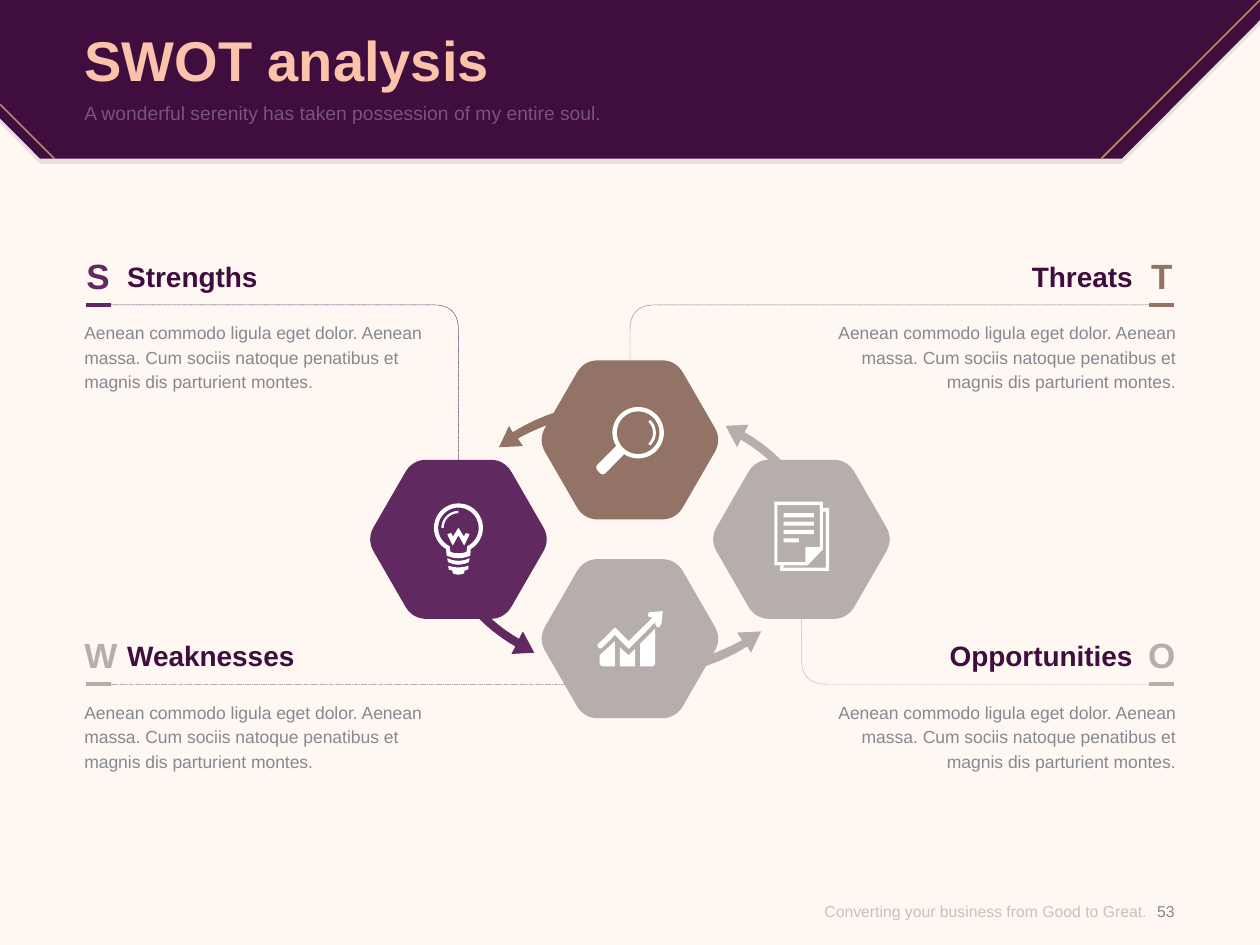
import math

import pptx
import pptx.dml.color
import pptx.enum.dml
import pptx.enum.shapes
import pptx.enum.text
import pptx.oxml
import pptx.oxml.ns
import pptx.util

Pt = pptx.util.Pt
RGB = pptx.dml.color.RGBColor
ALIGN = pptx.enum.text.PP_ALIGN
ANCHOR = pptx.enum.text.MSO_ANCHOR
DOTTED = pptx.enum.dml.MSO_LINE.SQUARE_DOT

CREAM, WHITE = RGB(0xFF, 0xF7, 0xF2), RGB(0xFF, 0xFF, 0xFF)
DEEP, PURPLE = RGB(0x3F, 0x0D, 0x3E), RGB(0x60, 0x2A, 0x60)
BROWN, GREY = RGB(0x92, 0x73, 0x65), RGB(0xB6, 0xAE, 0xAB)
PEACH, GOLD = RGB(0xFB, 0xC4, 0xAA), RGB(0xB9, 0x87, 0x63)
TEXT, FOOT = RGB(0x85, 0x89, 0x8F), RGB(0x8C, 0x8C, 0x8C)

W, H, MARGIN = 720, 540, 48.2
CENTER = (360, 308.2)
HEX_R, HEX_CUT = 52.5, 8.3
HEX_H = HEX_R * math.sqrt(3) / 2
BEND = 14.4


def bend(a, c, b, n=10):
    steps = [i / n for i in range(n + 1)]
    return [tuple((1 - t) ** 2 * p + 2 * t * (1 - t) * q + t * t * e
                  for p, q, e in zip(a, c, b)) for t in steps]


def arc(cx, cy, r, start, end, n=40):
    angles = [math.radians(start + (end - start) * i / n) for i in range(n + 1)]
    return [(cx + r * math.cos(a), cy + r * math.sin(a)) for a in angles]


def box(x1, y1, x2, y2):
    return [(x1, y1), (x2, y1), (x2, y2), (x1, y2)]


def hexagon():
    corners = [(HEX_R * math.cos(math.radians(a)), HEX_R * math.sin(math.radians(a)))
               for a in range(0, 360, 60)]
    points, t = [], HEX_CUT / HEX_R
    for i, c in enumerate(corners):
        before, after = corners[i - 1], corners[(i + 1) % 6]
        a, b = [tuple(p + (q - p) * t for p, q in zip(c, o)) for o in (before, after)]
        points += bend(a, c, b)
    return points


TITLE = "SWOT analysis"
SUBTITLE = "A wonderful serenity has taken possession of my entire soul."
FOOTER = "Converting your business from Good to Great."
PAGE = "53"
BODY = ("Aenean commodo ligula eget dolor. Aenean massa. Cum sociis natoque "
        "penatibus et magnis dis parturient montes.")

BULB = [
    arc(0, -6.5, 14, 120, 420) + bend((6.8, 9.3), (0, 12.4), (-6.8, 9.3)),
    arc(0, -6.5, 11.6, 116, 424) + bend((4.6, 7.2), (0, 8.8), (-4.6, 7.2)),
    arc(0, -6.5, 9.7, 180, 270) + arc(0, -6.5, 8.4, 270, 180),
    [(3.1, -1.6), (0, -6.6), (-3.1, -1.6), (-4.2, -3.6), (-6.4, -2.9),
     (-3.3, 3.6), (0, -2.2), (3.3, 3.6), (6.4, -2.9), (4.2, -3.6)],
    bend((-6.4, 10.8), (0, 13.8), (6.4, 10.8)) + bend((6, 13), (0, 16), (-6, 13)),
    bend((-5.8, 15.1), (0, 17), (5.8, 15.1))
    + [(5.6, 17.2), (3.4, 18)] + bend((3.3, 19.4), (0, 21), (-3.3, 19.4))
    + [(-3.4, 18), (-5.6, 17.2)],
]
LENS = [
    arc(4.7, -4.1, 14.7, 149, 483) + [(-13.7, 18.7)]
    + bend((-14.3, 19.3), (-16, 20.5), (-18, 18)) + bend((-18, 18), (-20, 16), (-18.7, 14.3)),
    arc(4.7, -4.1, 12.2, 0, 360),
    arc(4.7, -4.1, 10.1, -47, 47) + arc(4.7, -4.1, 8.5, 47, -47),
]
CHART = [
    [(-17.3, 9.4), (-8.6, 1.4), (-8.6, 15.8), (-16, 15.8), (-17.3, 14.4)],
    [(-5.8, 5), (-5.8, 15.8), (2.9, 15.8), (2.9, 5.8), (-0.7, 9.4)],
    [(5.8, 2.9), (5.8, 15.8), (13.2, 15.8), (14.4, 14.4), (14.4, -5.8)],
    [(10.8, -15.1), (10.1, -13), (11.5, -12.2), (13, -12.2), (-0.7, 1.4),
     (-8.6, -6.5), (-18, 2.9), (-18.7, 4), (-18, 5), (-17, 5.6), (-15.8, 5),
     (-8.6, -2.2), (-0.7, 5.8), (15.1, -10.1), (14.4, -8.6), (15.1, -7),
     (16.6, -6.5), (18, -8.6), (18.7, -15.8)],
]
PAGES = [
    [(12.2, -18), (12.2, -21.6), (-15.5, -21.6), (-15.5, 14.8), (-12.2, 14.8),
     (-12.2, 18), (15.8, 18), (15.8, -18)],
    [(-13.7, 13), (-13.7, -19.6), (10.6, -19.6), (10.6, 4.3), (2.2, 4.3), (2.2, 13)],
    [(14, 16.2), (-10.1, 16.2), (-10.1, 14.8), (3.6, 14.8), (12.2, 5.8),
     (12.2, -15.8), (14, -15.8)],
] + [box(-10.1, -15 + 4.8 * i, x, -12.6 + 4.8 * i)
     for i, x in enumerate((7.2, 7.2, 7.2, -1.4))]

ITEMS = [
    ("S", "Strengths", PURPLE, "left", 174.2, (262, 308.2), BULB),
    ("T", "Threats", BROWN, "right", 174.2, (360, 251.4), LENS),
    ("W", "Weaknesses", GREY, "left", 391, (360, 365), CHART),
    ("O", "Opportunities", GREY, "right", 391, (458, 308.2), PAGES),
]
UPPER_ARROW = ([(95, -34.6)] + bend((90.7, -32.4), (80.6, -46.8), (63.4, -56.9))
               + [(61.2, -52.6), (54.7, -64.8), (67.7, -65.5)]
               + bend((65.5, -61.2), (84.2, -50.4), (95, -34.6)))
LOWER_ARROW = ([(74.9, 52.6), (69.1, 64.8)] + bend((67, 61.2), (51.8, 70.6), (34.6, 74.9))
               + bend((33.1, 69.8), (49.7, 65.5), (64.1, 57.6)) + [(61.2, 53.3)])
ARROWS = [(UPPER_ARROW, 1, GREY), (UPPER_ARROW, -1, PURPLE),
          (LOWER_ARROW, 1, GREY), (LOWER_ARROW, -1, BROWN)]
BANNER = [(0, 0), (W, 0), (W, 11.5), (641, 90.7), (23, 90.7), (0, 67.7)]


def set_alpha(fill, percent):
    clr = fill._xPr.find(".//" + pptx.oxml.ns.qn("a:srgbClr"))
    clr.append(pptx.oxml.parse_xml(
        f'<a:alpha {pptx.oxml.ns.nsdecls("a")} val="{percent * 1000}"/>'))


def style_line(line, color, width, dash=None):
    for name, value in {"width": Pt(width), "dash_style": dash}.items():
        setattr(line, name, value)
    line.color.rgb = color


def draw(contours, at=(0, 0), fill=None, line=None, turn=1):
    placed = [[(Pt(at[0] + turn * x), Pt(at[1] + turn * y)) for x, y in c] for c in contours]
    fb = s.shapes.build_freeform(*placed[0][0])
    for i, c in enumerate(placed):
        if i:
            fb.move_to(*c[0])
        fb.add_line_segments(c[1:], close=fill is not None)
    sp = fb.convert_to_shape()
    sp.shadow.inherit = False
    if fill is None:
        sp.fill.background()
        style_line(sp.line, *line)
    else:
        sp.fill.solid()
        sp.fill.fore_color.rgb = fill
        sp.line.fill.background()
    return sp


def rule(x1, y1, x2, y2, *line):
    cn = s.shapes.add_connector(pptx.enum.shapes.MSO_CONNECTOR.STRAIGHT,
                                Pt(x1), Pt(y1), Pt(x2), Pt(y2))
    cn._element.spPr.append(pptx.oxml.parse_xml(
        f'<a:effectLst {pptx.oxml.ns.nsdecls("a")}/>'))
    style_line(cn.line, *line)


def write(text, at, size, color, align=ALIGN.LEFT, bold=False, anchor=ANCHOR.TOP,
          spacing=None, alpha=None, sp=None):
    x, y, w, h = [Pt(v) for v in at]
    sp = sp or s.shapes.add_textbox(x, y, w, h)
    for name, value in {"left": x, "top": y, "width": w, "height": h}.items():
        setattr(sp, name, value)
    tf = sp.text_frame
    frame = {"word_wrap": True, "auto_size": pptx.enum.text.MSO_AUTO_SIZE.NONE,
             "vertical_anchor": anchor, "margin_left": 0, "margin_top": 0,
             "margin_right": 0, "margin_bottom": 0}
    for name, value in frame.items():
        setattr(tf, name, value)
    p = tf.paragraphs[0]
    for name, value in {"alignment": align, "line_spacing": spacing,
                        "space_before": Pt(0)}.items():
        setattr(p, name, value)
    r = p.add_run()
    r.text = text
    for name, value in {"name": "Arial", "size": Pt(size), "bold": bold}.items():
        setattr(r.font, name, value)
    r.font.color.rgb = color
    if alpha:
        set_alpha(r.font.fill, alpha)
    return p


prs = pptx.Presentation()
prs.slide_width, prs.slide_height = Pt(W), Pt(H)
s = prs.slides.add_slide(prs.slide_layouts[1])
s.background.fill.solid()
s.background.fill.fore_color.rgb = CREAM
title, body = s.placeholders

set_alpha(draw([BANNER], (0, 2.9), DEEP).fill, 10)
draw([BANNER], fill=DEEP)
rule(W, 0, 629.3, 90.7, GOLD, 1)
rule(0, 59.6, 31.1, 90.7, GOLD, 1)

for sp in (title, body):
    s.shapes._spTree.append(sp._element)
write(TITLE, (MARGIN, 10.1, 623.6, 46.8), 32, PEACH, bold=True, anchor=ANCHOR.MIDDLE, sp=title)
p = write(SUBTITLE, (MARGIN, 57.6, 623.6, 28), 11, WHITE, alpha=30, sp=body)
pPr = p._p.get_or_add_pPr()
for name in ("marL", "indent"):
    pPr.set(name, "0")
pPr.append(pptx.oxml.parse_xml(f'<a:buNone {pptx.oxml.ns.nsdecls("a")}/>'))
write(FOOTER, (434.9, 501.1, 220.3, 38.9), 9, FOOT, ALIGN.RIGHT, anchor=ANCHOR.MIDDLE, alpha=50)
write(PAGE, (649.4, 501.1, 33.8, 38.9), 9, TEXT, ALIGN.CENTER, anchor=ANCHOR.MIDDLE)

for letter, name, color, side, y, (cx, cy), icon in ITEMS:
    start = 51 if side == "left" else W - 51
    if abs(cy - y) < HEX_H:
        rule(start, y, cx - 37, y, color, 0.25, DOTTED)
        continue
    dx = -BEND if side == "left" else BEND
    dy = math.copysign(BEND, cy - y)
    end = cy - math.copysign(HEX_H, dy)
    draw([[(start, y)] + bend((cx + dx, y), (cx, y), (cx, y + dy)) + [(cx, end)]],
         line=(color, 0.25, DOTTED))

for outline, turn, color in ARROWS:
    draw([outline], CENTER, color, turn=turn)

for letter, name, color, side, y, center, icon in ITEMS:
    draw([hexagon()], center, color)
    draw(icon, center, WHITE)
    align = ALIGN.LEFT if side == "left" else ALIGN.RIGHT

    def place(x, top, w, h):
        return (x if side == "left" else W - x - w, y + top, w, h)

    write(BODY, place(MARGIN, 8, 206, 42.5), 10, TEXT, align, spacing=Pt(14))
    write(name, place(72.7, -26, 114.5, 19.4), 16, DEEP, align, bold=True)
    write(letter, place(MARGIN, -28.7, 15.8, 24.5), 20, color, ALIGN.CENTER, bold=True)
    x, top, w, h = place(49, 0, 14.4, 0)
    rule(x, top, x + w, top, color, 2)

prs.save("out.pptx")
